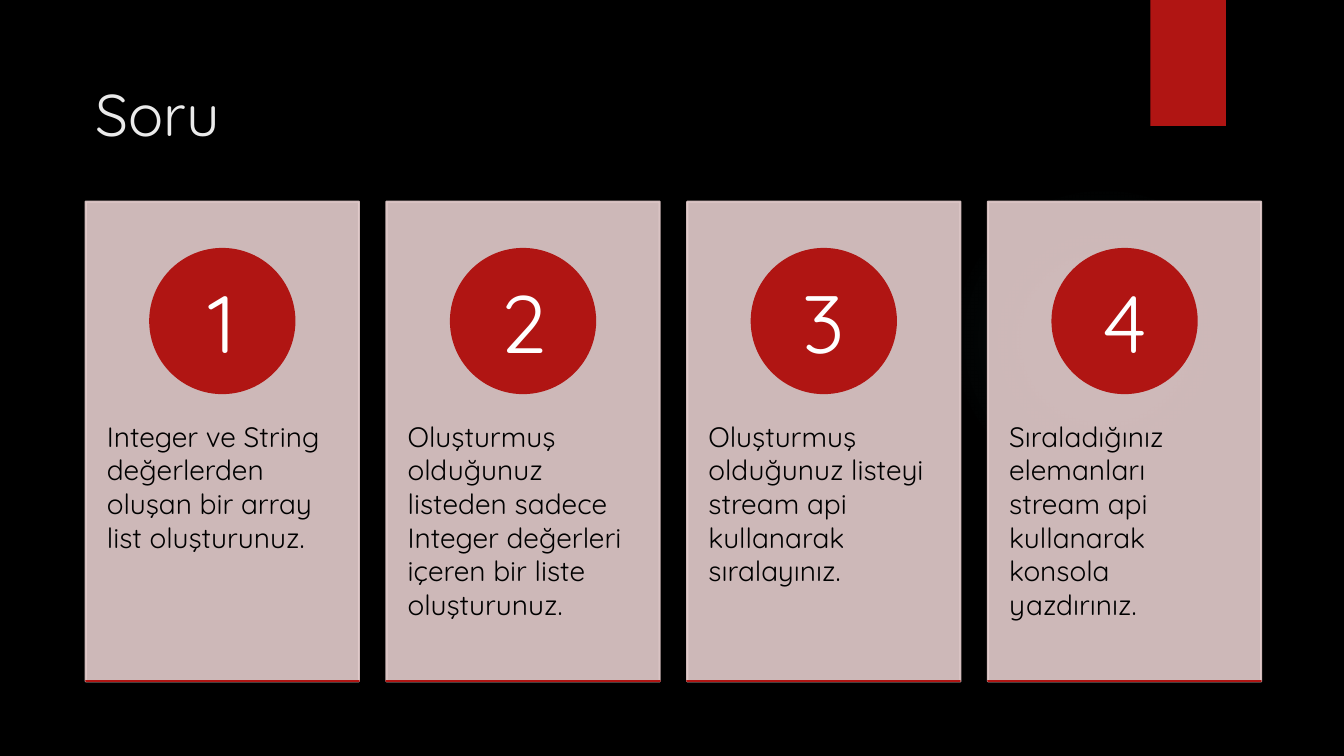
from lxml import etree
from pptx import Presentation
from pptx.dml.color import RGBColor
from pptx.enum.shapes import MSO_SHAPE as SHAPE
from pptx.enum.text import MSO_ANCHOR as ANCHOR, PP_ALIGN as ALIGN
from pptx.oxml import parse_xml
from pptx.oxml.ns import nsdecls, qn
from pptx.util import Inches, Pt

TITLE = "Soru"
STEPS = [
    "Integer ve String değerlerden oluşan bir array list oluşturunuz.",
    "Oluşturmuş olduğunuz listeden sadece Integer değerleri içeren bir liste oluşturunuz.",
    "Oluşturmuş olduğunuz listeyi stream api kullanarak sıralayınız.",
    "Sıraladığınız elemanları stream api kullanarak konsola yazdırınız.",
]
COLORS = {"back": "000000", "red": "B01513", "card": "E4CCCC", "title": "EBEBEB",
          "number": "FFFFFF", "text": "000000", "glow": "50B9C1"}
FONT = "Quicksand"
GLOW_STOPS = [(0, 7), (36, 6), (69, 0)]
LEFT, TOP, CARD_W, CARD_H, PITCH = 0.85, 2, 2.71, 4.76, 2.983
CIRCLE = 1.43


def rgb(name):
    return RGBColor.from_string(COLORS[name])


def add_shape(kind, x, y, w, h, color, outlined=True, opacity=100):
    s = slide.shapes.add_shape(kind, Inches(x), Inches(y), Inches(w), Inches(h))
    s.shadow.inherit = False
    s.fill.solid()
    s.fill.fore_color.rgb = rgb(color)
    if outlined:
        s.line.color.rgb = rgb(color)
        s.line.width = Pt(1.5)
    else:
        s.line.fill.background()
    if opacity < 100:
        for clr in s._element.spPr.iter(qn("a:srgbClr")):
            etree.SubElement(clr, qn("a:alpha"), val=str(opacity * 1000))
    return s


def add_text(text, x, y, w, h, size, color, insets=(0.1, 0.05), anchor=ANCHOR.TOP,
             align=ALIGN.LEFT):
    s = slide.shapes.add_textbox(Inches(x), Inches(y), Inches(w), Inches(h))
    tf = s.text_frame
    tf.word_wrap = True
    tf.vertical_anchor = anchor
    tf.margin_left = tf.margin_right = Inches(insets[0])
    tf.margin_top = tf.margin_bottom = Inches(insets[1])
    p = tf.paragraphs[0]
    p.text = text
    p.alignment = align
    r = p.runs[0]
    r.font.name = FONT
    r.font.size = Pt(size)
    r.font.color.rgb = rgb(color)


def add_glow(x, y, d):
    s = add_shape(SHAPE.OVAL, x, y, d, d, "glow", False)
    stops = "".join(
        f'<a:gs pos="{pos * 1000}"><a:srgbClr val="{COLORS["glow"]}">'
        f'<a:alpha val="{alpha * 1000}"/></a:srgbClr></a:gs>'
        for pos, alpha in GLOW_STOPS)
    spPr = s._element.spPr
    spPr.replace(spPr.find(qn("a:solidFill")), parse_xml(
        f'<a:gradFill {nsdecls("a")}><a:gsLst>{stops}</a:gsLst><a:path path="circle">'
        '<a:fillToRect l="50000" t="50000" r="50000" b="50000"/></a:path></a:gradFill>'))


prs = Presentation()
prs.slide_width, prs.slide_height = Inches(13.33), Inches(7.5)
slide = prs.slides.add_slide(prs.slide_layouts[6])
slide.background.fill.solid()
slide.background.fill.fore_color.rgb = rgb("back")

add_glow(9.41, 1.83, 3.08)
add_shape(SHAPE.RECTANGLE, 11.41, 0, 0.75, 1.25, "red", False)
add_text(TITLE, LEFT, 0.4, 11.66, 1.45, 42, "title", anchor=ANCHOR.MIDDLE)

for i, step in enumerate(STEPS):
    x = LEFT + i * PITCH
    circle_x = x + (CARD_W - CIRCLE) / 2
    add_shape(SHAPE.RECTANGLE, x, TOP, CARD_W, CARD_H, "card", opacity=90)
    add_shape(SHAPE.OVAL, circle_x, 2.47, CIRCLE, CIRCLE, "red")
    add_text(str(i + 1), circle_x, 2.47, CIRCLE, CIRCLE, 58, "number", (0.11, 0.01),
             ANCHOR.MIDDLE, ALIGN.CENTER)
    add_shape(SHAPE.RECTANGLE, x, TOP + CARD_H, CARD_W, 0, "red")
    add_text(step, x, 3.8, CARD_W, 2.86, 20, "text", (0.21, 0.36))

prs.save("out.pptx")
